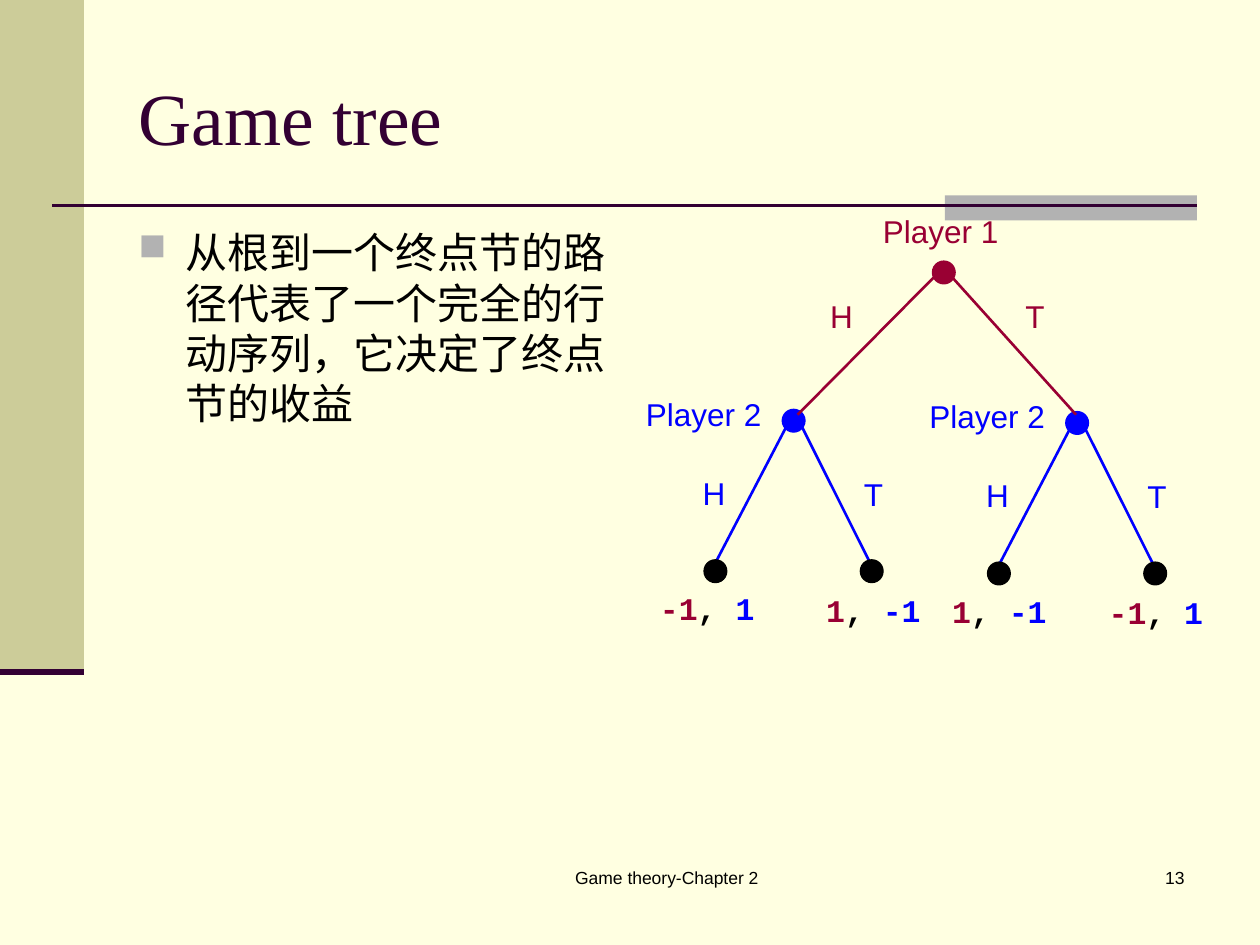
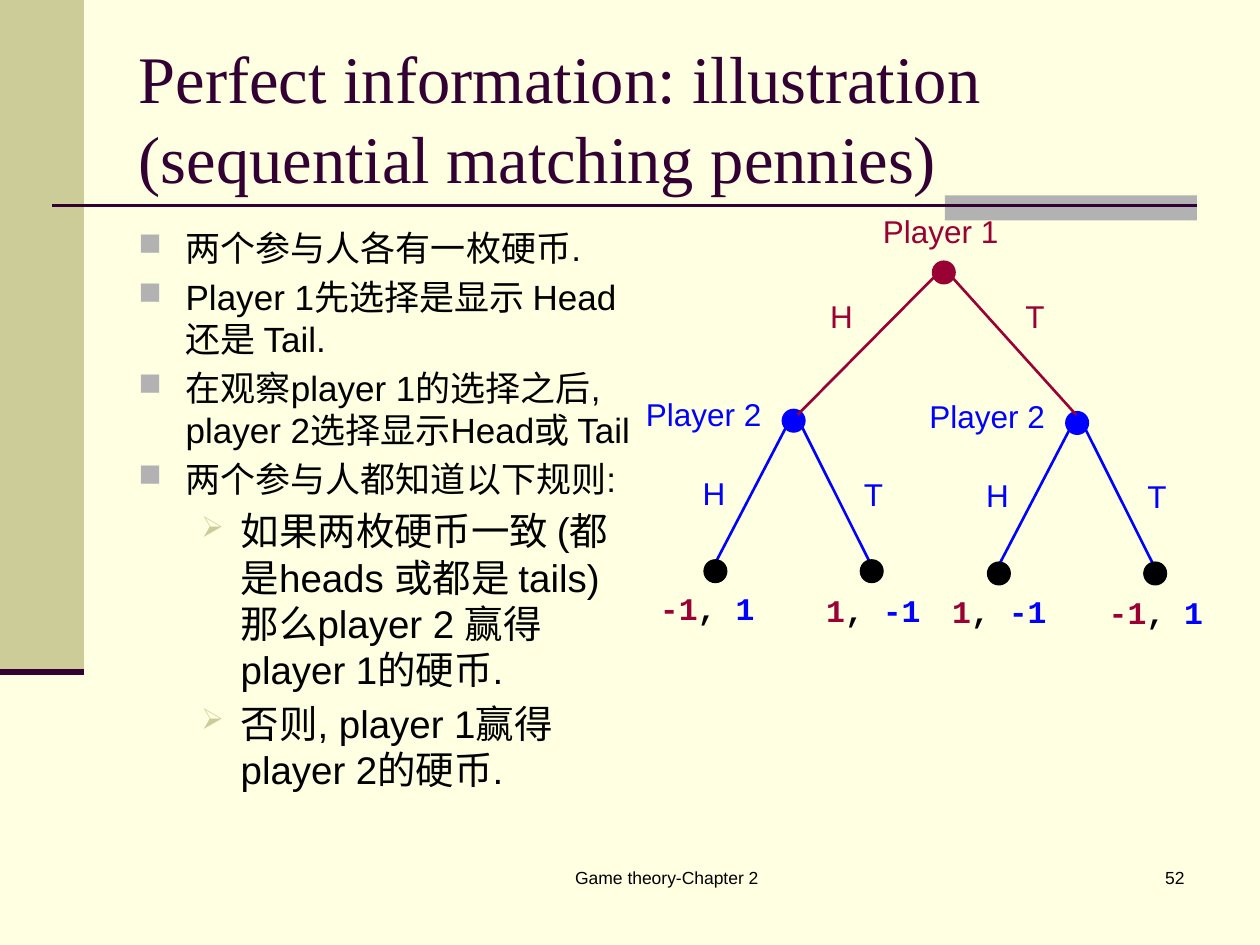
import pptx
import pptx.dml.color
import pptx.enum.shapes
import pptx.enum.text
import pptx.oxml.ns
import pptx.util
from lxml import etree

Pt = pptx.util.Pt
ALIGN = pptx.enum.text.PP_ALIGN
SHAPE = pptx.enum.shapes.MSO_SHAPE
qn = pptx.oxml.ns.qn

CREAM, KHAKI, GREY, PLUM = "FFFFE1", "CCCC99", "B2B2B2", "330033"
RED, BLUE, BLACK = "990033", "0000FF", "000000"
NODE = 13
LABEL_H = 29

# Bullet styles by level: character, colour, size %, left margin, hanging indent
BULLETS = [("■", GREY, 90, 27, 27), ("➢", KHAKI, 75, 58.5, 22.5)]

SLIDES = [
    ("Game tree", 42, "13",
     [(0, 24, "从根到一个终点节的路径代表了一个完全的行动序列，它决定了终点节的收益")]),
    ("Perfect information: illustration (sequential matching pennies)", 38, "52",
     [(0, 20, "两个参与人各有一枚硬币."),
      (0, 20, "Player 1先选择是显示 Head还是 Tail."),
      (0, 20, "在观察player 1的选择之后, player 2选择显示Head或 Tail"),
      (0, 20, "两个参与人都知道以下规则:"),
      (1, 22, "如果两枚硬币一致 (都是heads 或都是 tails) 那么player 2 赢得 player 1的硬币."),
      (1, 22, "否则, player 1赢得 player 2的硬币.")]),
]


def rgb(value):
    return pptx.dml.color.RGBColor.from_string(value)


def style(font, size, color, name="Arial", bold=False):
    font.size, font.name, font.bold = Pt(size), name, bold
    font.color.rgb = rgb(color)


def add_block(s, kind, x, y, w, h, color, line=None):
    sp = s.shapes.add_shape(kind, Pt(x), Pt(y), Pt(w), Pt(h))
    sp.shadow.inherit = False
    sp.fill.solid()
    sp.fill.fore_color.rgb = rgb(color)
    if line:
        sp.line.color.rgb = rgb(color)
        sp.line.width = Pt(line)
    else:
        sp.line.fill.background()


def add_line(s, x1, y1, x2, y2, color, width=1.5):
    cx = s.shapes.add_connector(pptx.enum.shapes.MSO_CONNECTOR.STRAIGHT,
                                Pt(x1), Pt(y1), Pt(x2), Pt(y2))
    cx.line.color.rgb = rgb(color)
    cx.line.width = Pt(width)
    etree.SubElement(cx._element.spPr, qn("a:effectLst"))


def add_box(s, x, y, w, h):
    tf = s.shapes.add_textbox(Pt(x), Pt(y), Pt(w), Pt(h)).text_frame
    tf.word_wrap = True
    return tf


def add_text(s, x, y, w, h, text, size, color, align=ALIGN.LEFT):
    p = add_box(s, x, y, w, h).paragraphs[0]
    p.text = text
    p.alignment = align
    style(p.runs[0].font, size, color)


# Side band, title rule and footer
def add_frame(s, number):
    s.background.fill.solid()
    s.background.fill.fore_color.rgb = rgb(CREAM)
    add_block(s, SHAPE.RECTANGLE, 0, 0, 48, 384, KHAKI)
    add_block(s, SHAPE.RECTANGLE, 540, 111.6, 144, 14.4, GREY)
    add_line(s, 30, 117.6, 684, 117.6, PLUM)
    add_line(s, 0, 384, 48, 384, PLUM, 3.5)
    add_text(s, 264, 492, 234, 36, "Game theory-Chapter 2", 10, BLACK, ALIGN.CENTER)
    add_text(s, 534, 492, 150, 36, number, 10, BLACK, ALIGN.RIGHT)


def set_title(s, text, size):
    sp = s.shapes.title
    sp.left, sp.top, sp.width, sp.height = Pt(72), Pt(21.6), Pt(612), Pt(90)
    tf = sp.text_frame
    tf.text = text
    tf.word_wrap = True
    tf.auto_size = pptx.enum.text.MSO_AUTO_SIZE.NONE
    tf.vertical_anchor = pptx.enum.text.MSO_ANCHOR.MIDDLE
    p = tf.paragraphs[0]
    p.alignment = ALIGN.LEFT
    style(p.runs[0].font, size, PLUM, "Times New Roman")


# Bulleted text
def add_bullet(p, level):
    char, color, percent, margin, hanging = BULLETS[level]
    pPr = p._p.get_or_add_pPr()
    pPr.set("marL", str(Pt(margin)))
    pPr.set("indent", str(-Pt(hanging)))
    clr = etree.SubElement(pPr, qn("a:buClr"))
    etree.SubElement(clr, qn("a:srgbClr"), val=color)
    etree.SubElement(pPr, qn("a:buSzPct"), val=str(percent * 1000))
    etree.SubElement(pPr, qn("a:buChar"), char=char)


def add_body(s, x, y, w, h, items):
    tf = add_box(s, x, y, w, h)
    for i, (level, size, text) in enumerate(items):
        p = tf.add_paragraph() if i else tf.paragraphs[0]
        p.text = text
        p.level = level
        add_bullet(p, level)
        p.space_before = Pt(0.2 * size if i else 0)
        style(p.runs[0].font, size, BLACK)


# Game tree
def add_node(s, x, y, color):
    add_block(s, SHAPE.OVAL, x, y, NODE, NODE, color, 0.75)


def add_payoff(s, x, y, first, second):
    p = add_box(s, x, y, 70, LABEL_H).paragraphs[0]
    for text, color in ((first, RED), (", ", BLACK), (second, BLUE)):
        r = p.add_run()
        r.text = text
        style(r.font, 18, color, "Courier New", True)


def add_subtree(s, x, y, payoffs):
    add_node(s, x + 85, y + 12, BLUE)
    add_line(s, x + 87.3, y + 22, x + 46, y + 101.3, BLUE)
    add_line(s, x + 96, y + 21.5, x + 134.6, y + 98.5, BLUE)
    for dx, dy, w, text in ((0, 0, 83.5, "Player 2"), (32.4, 45.2, 34, "H"),
                            (124.6, 46, 29.5, "T")):
        add_text(s, x + dx, y + dy, w, LABEL_H, text, 18, BLUE)
    for leaf_x, (dx, dy, first, second) in zip((40.3, 129.6), payoffs):
        add_node(s, x + leaf_x, y + 98, BLACK)
        add_payoff(s, x + dx, y + dy, first, second)


def add_game_tree(s, x, y):
    add_subtree(s, x, y + 104.5, [(8, 111, "-1", "1"), (103, 112.2, "1", "-1")])
    add_subtree(s, x + 162, y + 105.8, [(13, 111.4, "1", "-1"), (102.4, 112, "-1", "1")])
    add_node(s, x + 170.8, y + 31.8, RED)
    add_line(s, x + 171.5, y + 41.2, x + 93.8, y + 119.6, RED)
    add_line(s, x + 181.6, y + 40.5, x + 252.9, y + 119.6, RED)
    for dx, dy, w, text in ((135.5, 0, 86.4, "Player 1"), (105.3, 49, 29, "H"),
                            (216.9, 49, 29, "T")):
        add_text(s, x + dx, y + dy, w, LABEL_H, text, 18, RED)


def main():
    prs = pptx.Presentation()
    prs.slide_width, prs.slide_height = Pt(720), Pt(540)
    for title, size, number, items in SLIDES:
        s = prs.slides.add_slide(prs.slide_layouts[5])
        add_frame(s, number)
        set_title(s, title, size)
        add_body(s, 72, 126, 299, 356.4, items)
        add_game_tree(s, 362, 117.4)
    prs.save("out.pptx")


if __name__ == "__main__":
    main()
